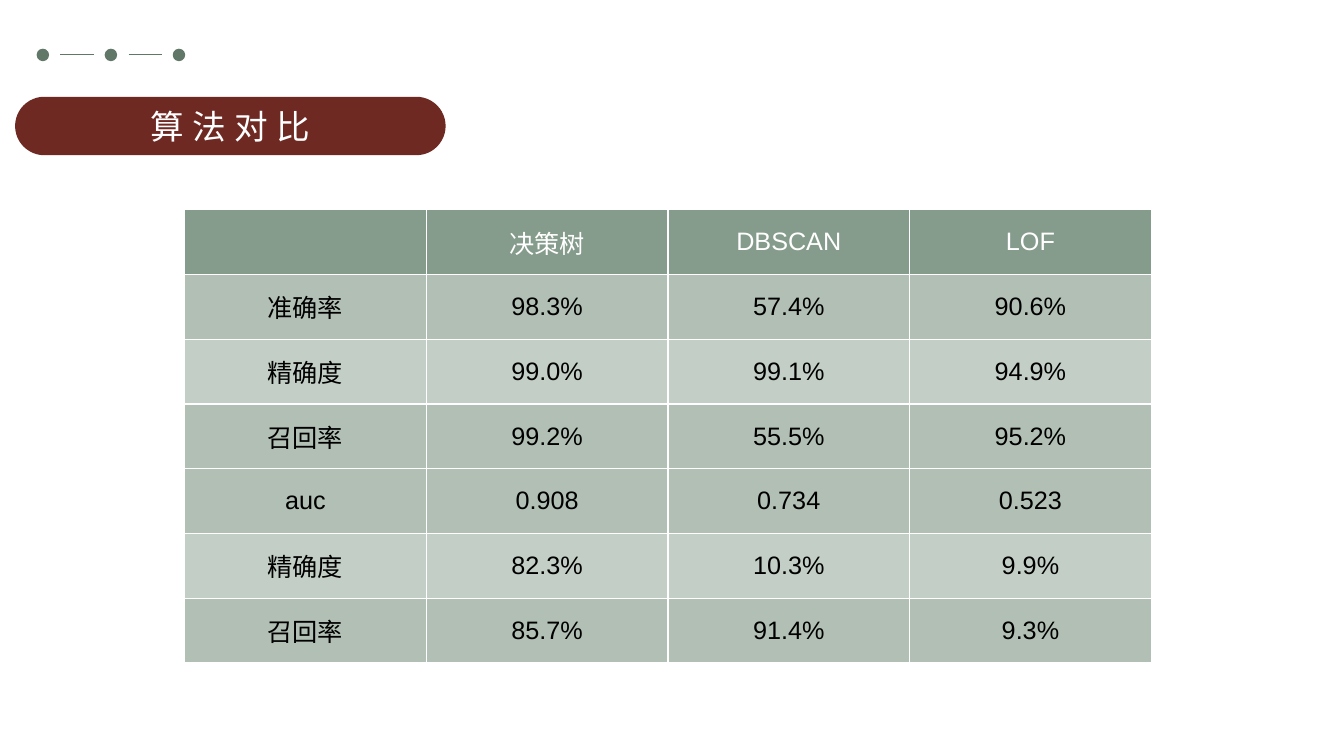
from lxml.etree import SubElement
from pptx import Presentation
from pptx.dml.color import RGBColor
from pptx.enum.shapes import MSO_CONNECTOR, MSO_SHAPE
from pptx.enum.text import MSO_ANCHOR, PP_ALIGN
from pptx.oxml.ns import qn
from pptx.util import Inches, Pt

WHITE = RGBColor(0xFF, 0xFF, 0xFF)
BLACK = RGBColor(0x00, 0x00, 0x00)
GREEN = RGBColor(0x61, 0x77, 0x67)
MAROON = RGBColor(0x6F, 0x29, 0x23)
HEAD = RGBColor(0x85, 0x9B, 0x8B)
DARK = RGBColor(0xB1, 0xBF, 0xB4)
LIGHT = RGBColor(0xC3, 0xCF, 0xC6)
LATIN = "Arial"
HAN = "Noto Sans CJK SC"

ROWS = [
    (HEAD, ["", "决策树", "DBSCAN", "LOF"]),
    (DARK, ["准确率", "98.3%", "57.4%", "90.6%"]),
    (LIGHT, ["精确度", "99.0%", "99.1%", "94.9%"]),
    (DARK, ["召回率", "99.2%", "55.5%", "95.2%"]),
    (DARK, ["auc", "0.908", "0.734", "0.523"]),
    (LIGHT, ["精确度", "82.3%", "10.3%", "9.9%"]),
    (DARK, ["召回率", "85.7%", "91.4%", "9.3%"]),
]


def add_text(frame, text, size, font, color):
    para = frame.paragraphs[0]
    para.alignment = PP_ALIGN.CENTER
    run = para.add_run()
    run.text = text
    run.font.size = Pt(size)
    run.font.name = font
    run.font.bold = False
    run.font.color.rgb = color
    props = run.font._element
    SubElement(props, qn("a:ea"), typeface=HAN)
    return props


def add_dot(group, left):
    dot = group.shapes.add_shape(
        MSO_SHAPE.OVAL, Inches(left), Inches(0.49), Inches(0.11), Inches(0.11))
    dot.shadow.inherit = False
    dot.fill.solid()
    dot.fill.fore_color.rgb = GREEN
    dot.line.color.rgb = GREEN
    dot.line.width = Pt(1)


def add_dash(group, left):
    dash = group.shapes.add_connector(
        MSO_CONNECTOR.STRAIGHT, Inches(left), Inches(0.54),
        Inches(left + 0.33), Inches(0.54))
    dash.line.color.rgb = GREEN
    dash.line.width = Pt(0.5)
    SubElement(dash._element.spPr, qn("a:effectLst"))


def add_trim(slide):
    group = slide.shapes.add_group_shape()
    step = 1.35 / 2
    for i in range(3):
        add_dot(group, 0.37 + i * step)
    for i in range(2):
        add_dash(group, 0.6 + i * step)


def add_title(slide, text):
    pill = slide.shapes.add_shape(
        MSO_SHAPE.ROUNDED_RECTANGLE, Inches(0.15), Inches(0.96),
        Inches(4.27), Inches(0.58))
    pill.adjustments[0] = 0.5
    pill.shadow.inherit = False
    pill.fill.solid()
    pill.fill.fore_color.rgb = MAROON
    pill.line.fill.background()
    frame = pill.text_frame
    frame.vertical_anchor = MSO_ANCHOR.MIDDLE
    add_text(frame, text, 24, HAN, WHITE).set("spc", "600")


def add_edges(cell):
    props = cell._tc.get_or_add_tcPr()
    for side in ("lnL", "lnR", "lnT", "lnB"):
        edge = SubElement(props, qn(f"a:{side}"), w=str(Pt(1)))
        fill = SubElement(edge, qn("a:solidFill"))
        SubElement(fill, qn("a:srgbClr"), val=str(WHITE))


def fill_cell(cell, text, back, color):
    add_edges(cell)
    cell.fill.solid()
    cell.fill.fore_color.rgb = back
    cell.vertical_anchor = MSO_ANCHOR.MIDDLE
    if text:
        add_text(cell.text_frame, text, 18, LATIN, color)


def add_grid(slide, rows):
    table = slide.shapes.add_table(
        len(rows), len(rows[0][1]), Inches(1.83), Inches(2.08),
        Inches(9.59), Inches(4.5)).table
    table.first_row = False
    table.horz_banding = False
    for r, (back, texts) in enumerate(rows):
        color = WHITE if back == HEAD else BLACK
        for c, text in enumerate(texts):
            fill_cell(table.cell(r, c), text, back, color)


def main():
    deck = Presentation()
    deck.slide_width = Inches(13.33)
    deck.slide_height = Inches(7.5)
    slide = deck.slides.add_slide(deck.slide_layouts[6])
    add_trim(slide)
    add_title(slide, "算法对比")
    add_grid(slide, ROWS)
    deck.save("out.pptx")


if __name__ == "__main__":
    main()
